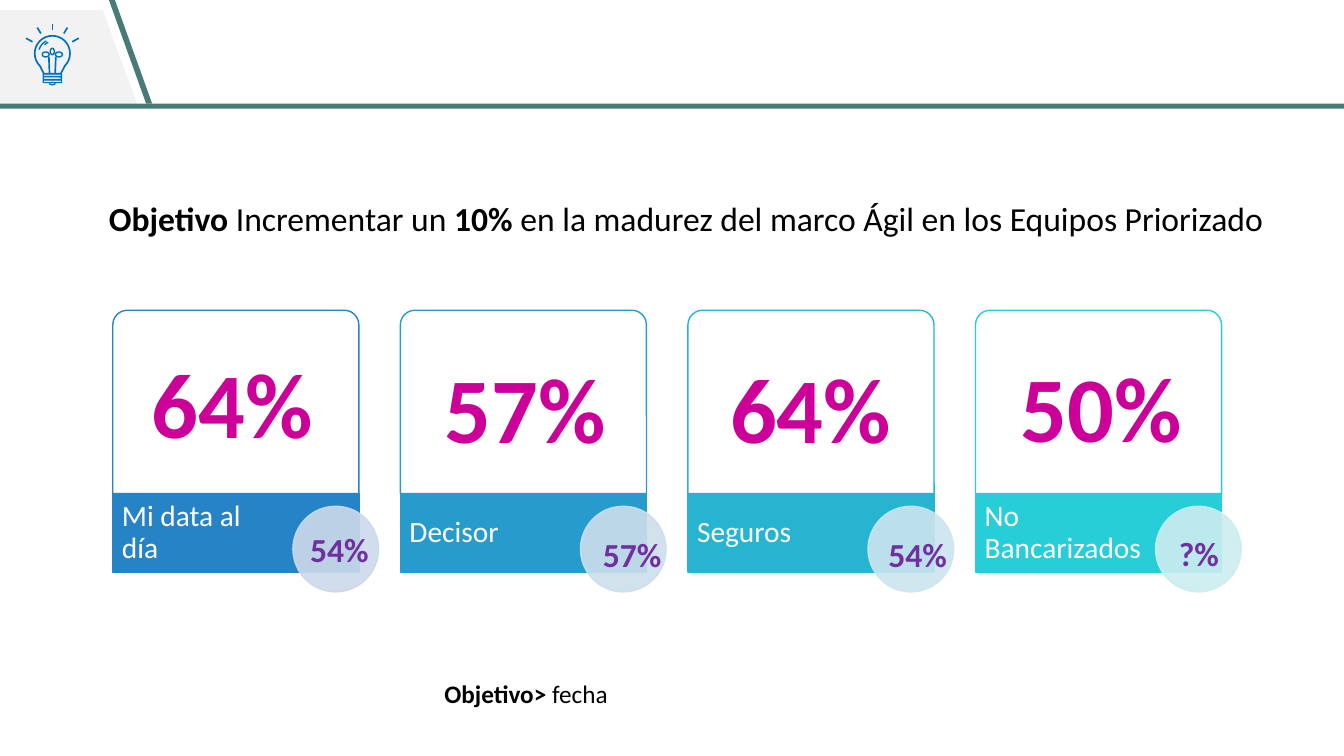
from math import cos, radians, sin
from lxml.etree import SubElement
from pptx import Presentation
from pptx.dml.color import RGBColor
from pptx.enum.shapes import MSO_CONNECTOR as Link, MSO_SHAPE as Kind
from pptx.enum.text import MSO_ANCHOR as Anchor, MSO_AUTO_SIZE as Fit, PP_ALIGN as Align
from pptx.oxml.ns import qn
from pptx.util import Pt

TEAL, BLUE, PINK, PLUM = "487B78", "0070C0", "CC0099", "7030A0"
FRAME = {"auto_size": Fit.NONE, "vertical_anchor": Anchor.TOP, "word_wrap": True,
         "margin_left": Pt(7.2), "margin_right": Pt(7.2),
         "margin_top": Pt(3.6), "margin_bottom": Pt(3.6)}
LABEL = {"vertical_anchor": Anchor.MIDDLE, "margin_left": Pt(6.5),
         "margin_right": Pt(2.2), "margin_top": 0, "margin_bottom": 0}
CARDS = [
    ("Mi data al día", "64%", "54%", "2683C6", "CDD9EA", 20.9, 21.8),
    ("Decisor", "57%", "57%", "269BCC", "CDDFEC", 24.5, 25.4),
    ("Seguros", "64%", "54%", "27B4D1", "CDE5EE", 23, 25.4),
    ("No Bancarizados", "50%", "?%", "27CED7", "CDEDF0", 25.2, 24.7),
]


def put(item, form):
    for key, value in form.items():
        setattr(item, key, value)


def tint(fill, code):
    fill.solid()
    fill.fore_color.rgb = RGBColor.from_string(code)


def fade(shape):
    for color in list(shape._element.spPr.iter(qn("a:srgbClr"))):
        SubElement(color, qn("a:alpha")).set("val", "90000")


def edge(shape, color, width=1):
    tint(shape.line.fill, color)
    shape.line.width = Pt(width)


def paint(shape, fill=None, line=None, width=1):
    shape.shadow.inherit = False
    if fill:
        tint(shape.fill, fill)
    else:
        shape.fill.background()
    if line:
        edge(shape, line, width)
    else:
        shape.line.fill.background()
    return shape


def block(slide, kind, x, y, w, h, **look):
    shape = slide.shapes.add_shape(kind, Pt(x), Pt(y), Pt(w), Pt(h))
    return paint(shape, **look)


def trace(slide, x, y, dots, close=True, **look):
    dots = [(Pt(x + a), Pt(y + b)) for a, b in dots]
    path = slide.shapes.build_freeform(*dots[0])
    path.add_line_segments(dots[1:], close=close)
    return paint(path.convert_to_shape(), **look)


def stroke(slide, x1, y1, x2, y2):
    line = slide.shapes.add_connector(Link.STRAIGHT, Pt(x1), Pt(y1), Pt(x2), Pt(y2))
    edge(line, BLUE, 1.2)
    SubElement(line._element.spPr, qn("a:effectLst"))


def write(box, runs, size, color, form):
    frame = box.text_frame
    put(frame, {**FRAME, **form})
    para = frame.paragraphs[0]
    para.alignment = Align.LEFT
    for text, bold in runs:
        run = para.add_run()
        run.text = text
        put(run.font, {"name": "Calibri", "size": Pt(size), "bold": bold})
        tint(run.font.fill, color)
    return para


def note(slide, x, y, w, h, runs, size, color, **form):
    box = slide.shapes.add_textbox(Pt(x), Pt(y), Pt(w), Pt(h))
    return write(box, runs, size, color, form)


def arc(x, y, size, start, end):
    turns = [radians(start + (end - start) * i / 24) for i in range(25)]
    return [(x + size * cos(t), y + size * sin(t)) for t in turns]


def bulb(slide, x, y):
    mid, top = 19.4, 21.7
    glass = [(13.4, 36.2), *arc(mid, top, 12.6, 135, 405), (25.4, 36.2)]
    trace(slide, x, y, glass, line=BLUE, width=1.2)
    for size, start, end in [(9.8, 196, 245), (8.3, 228, 250)]:
        trace(slide, x, y, arc(mid, top, size, start, end), close=False, line=BLUE)
    for dx, dy, w, h in [(-7.2, 20.6, 5, 3.6), (-1.5, 18, 3, 4.6), (2.2, 20.6, 5, 3.6)]:
        block(slide, Kind.OVAL, x + mid + dx, y + dy, w, h, line=BLUE)
    for i in range(3):
        block(slide, Kind.ROUNDED_RECTANGLE, x + mid - 6.5, y + 36.3 + 2.2 * i, 13, 1.8,
              line=BLUE, width=0.8)
    block(slide, Kind.OVAL, x + mid - 2, y + 42.3, 4, 1.8, line=BLUE, width=0.8)
    axis = x + mid
    for side in (-1, 1):
        stroke(slide, axis + 2.5 * side, y + 24, axis + 2 * side, y + 36)
        stroke(slide, axis + 18.8 * side, y + 10.8, axis + 14.2 * side, y + 13.4)
        stroke(slide, axis + 10.8 * side, y + 3.2, axis + 8.2 * side, y + 7.4)
    stroke(slide, axis, y + 0.6, axis, y + 5.2)


def header(slide, x, y, w, h):
    trace(slide, x, y, [(0, 7.2), (73.4, 7.2), (97.9, h), (0, h)], fill="F2F2F2")
    bulb(slide, x + 18, y + 16.5)
    block(slide, Kind.RECTANGLE, x, y + h, w, 3.6, fill=TEAL)
    trace(slide, x, y, [(77.8, 0), (82.1, 0), (108.7, h), (104.4, h)], fill=TEAL)


def goal(slide, x, y, w, h):
    title = slide.shapes.title
    put(title, {"left": Pt(x), "top": Pt(y), "width": Pt(w), "height": Pt(h)})
    runs = [("Objetivo", True), (" Incrementar un ", False), ("10%", True),
            (" en la madurez del marco Ágil en los Equipos Priorizado", False)]
    write(title, runs, 24, "000000", {"word_wrap": False})


def card(slide, x, y, w, h, data):
    name, score, prior, color, pale, dx, dy = data
    low = y + h
    panel = block(slide, Kind.ROUND_2_SAME_RECTANGLE, x, y, w, h, fill="FFFFFF")
    panel.adjustments[0] = 0.08
    fade(panel)
    edge(panel, color)
    block(slide, Kind.RECTANGLE, x, low, w, 56.2, fill=color, line=color)
    para = note(slide, x, low, 123.8, 56.2, [(name, False)], 21, "FFFFFF", **LABEL)
    para.line_spacing = 0.9
    fade(block(slide, Kind.OVAL, x + 128.6, y + 140, 61.2, 61.2, fill=pale, line=pale))
    wide = 43.2 if prior == "?%" else 56.9
    note(slide, x + dx + 113, y + dy + 131, wide, 36, [(prior, True)], 24, PLUM,
         word_wrap=False)
    note(slide, x + dx, y + dy, 132.5, 87, [(score, True)], 66, PINK)


def main():
    deck = Presentation()
    put(deck, {"slide_width": Pt(960), "slide_height": Pt(540)})
    slide = deck.slides.add_slide(deck.slide_layouts[5])
    header(slide, 0, 0, 960, 74)
    goal(slide, 70.6, 137.5, 848.9, 36)
    for i, data in enumerate(CARDS):
        card(slide, 80.6 + 205.4 * i, 221.6, 175.8, 130.9, data)
    note(slide, 310.3, 481, 480, 29, [("Objetivo>", True), (" fecha", False)], 18, "000000")
    deck.save("out.pptx")


if __name__ == "__main__":
    main()
